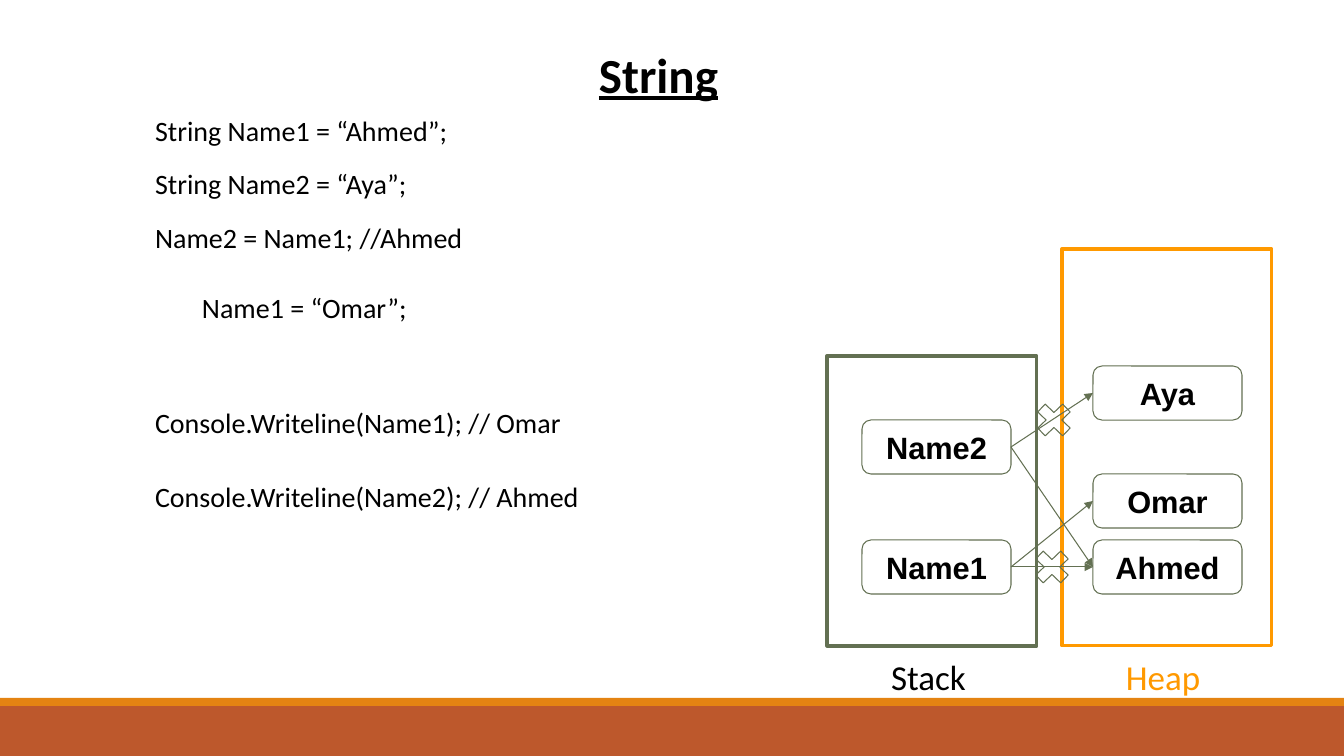
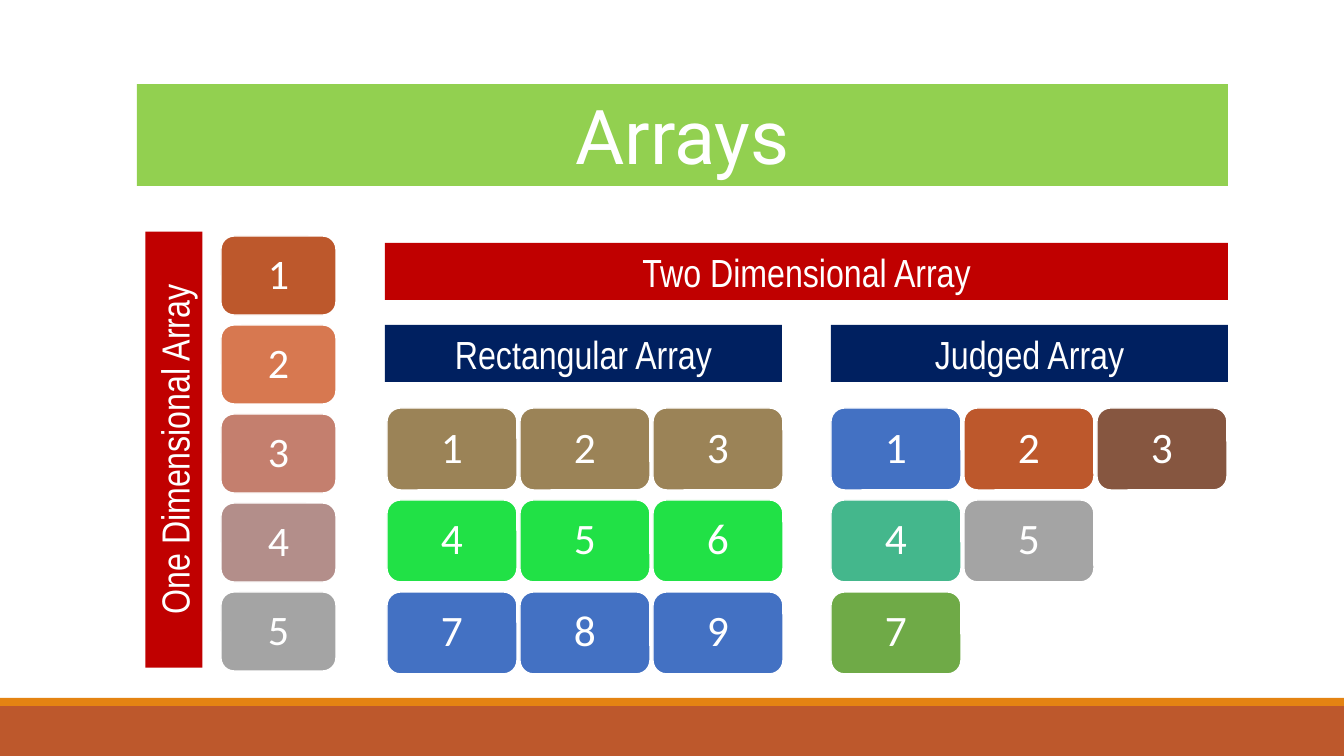
from lxml import etree
from pptx import Presentation
from pptx.dml.color import RGBColor
from pptx.enum.shapes import MSO_CONNECTOR, MSO_SHAPE
from pptx.enum.text import MSO_ANCHOR, MSO_AUTO_SIZE, PP_ALIGN
from pptx.oxml.ns import qn
from pptx.util import Emu, Pt

PX = 12192000 / 1344  # EMU per px

RECTANGLE, ROUNDED = MSO_SHAPE.RECTANGLE, MSO_SHAPE.ROUNDED_RECTANGLE
CROSS, STRAIGHT = MSO_SHAPE.MATH_MULTIPLY, MSO_CONNECTOR.STRAIGHT
TOP, MIDDLE = MSO_ANCHOR.TOP, MSO_ANCHOR.MIDDLE
LEFT, CENTER = PP_ALIGN.LEFT, PP_ALIGN.CENTER
LEFT_SIDE, RIGHT_SIDE = 1, 3

BLACK = RGBColor(0x00, 0x00, 0x00)
WHITE = RGBColor(0xFF, 0xFF, 0xFF)
RUST = RGBColor(0xBD, 0x58, 0x2C)
ORANGE = RGBColor(0xE4, 0x83, 0x12)
OLIVE = RGBColor(0x63, 0x70, 0x52)
AMBER = RGBColor(0xFF, 0x99, 0x00)
LIME = RGBColor(0x92, 0xD0, 0x50)
RED = RGBColor(0xC0, 0x00, 0x00)
NAVY = RGBColor(0x00, 0x20, 0x60)
COPPER = RGBColor(0xD7, 0x78, 0x50)
ROSE = RGBColor(0xC4, 0x7F, 0x6E)
MAUVE = RGBColor(0xB3, 0x8E, 0x8A)
GRAY = RGBColor(0xA4, 0xA4, 0xA4)
KHAKI = RGBColor(0x9B, 0x83, 0x57)
BRIGHT_GREEN = RGBColor(0x21, 0xE1, 0x46)
BLUE = RGBColor(0x43, 0x71, 0xC3)
TEAL = RGBColor(0x44, 0xB7, 0x8C)
GREEN = RGBColor(0x6F, 0xAA, 0x47)
BROWN = RGBColor(0x86, 0x56, 0x40)


def set_text(shape, text, size=20, font="Calibri", color=BLACK, bold=False,
             underline=False, align=LEFT, anchor=TOP, inset=(10, 10), spacing=1.0):
    frame = shape.text_frame
    frame.text = text
    frame.word_wrap = True
    frame.auto_size = MSO_AUTO_SIZE.NONE
    frame.vertical_anchor = anchor
    frame.margin_left = frame.margin_right = Emu(round(inset[0] * PX))
    frame.margin_top = frame.margin_bottom = Emu(round(inset[1] * PX))
    for paragraph in frame.paragraphs:
        paragraph.alignment = align
        paragraph.line_spacing = spacing
        paragraph.space_before = Pt(0)
        run_font = paragraph.runs[0].font
        run_font.name, run_font.size = font, Pt(size)
        run_font.bold, run_font.underline = bold, underline
        run_font.color.rgb = color


def place(slide, kind, box, fill=None, line=None, width=0.75):
    """Add a preset shape, or move the placeholder given as kind."""
    lengths = [Emu(round(length * PX)) for length in box]
    if kind in (RECTANGLE, ROUNDED, CROSS):
        shape = slide.shapes.add_shape(kind, *lengths)
        shape.shadow.inherit = False
    else:
        shape = kind
        shape.left, shape.top, shape.width, shape.height = lengths
    if fill is None:
        shape.fill.background()
    else:
        shape.fill.solid()
        shape.fill.fore_color.rgb = fill
    if line is None:
        shape.line.fill.background()
    else:
        shape.line.color.rgb = line
        shape.line.width = Pt(width)
    return shape


presentation = Presentation()
presentation.slide_width = Emu(round(1344 * PX))
presentation.slide_height = Emu(round(756 * PX))
string_slide = presentation.slides.add_slide(presentation.slide_layouts[1])
arrays_slide = presentation.slides.add_slide(presentation.slide_layouts[5])

# Bands shared by all slides, moved to the back of the master
master_tree = presentation.slide_master.shapes.element
bands = [((0, 706, 1344, 50), RUST), ((0, 698, 1344, 8), ORANGE)]
for index, (box, color) in enumerate(bands):
    band = place(string_slide, RECTANGLE, box, fill=color)
    band.element.nvSpPr.cNvPr.set("id", str(100 + index))
    master_tree.insert(2 + index, band.element)

# Slide 1: title and code
title = place(string_slide, string_slide.shapes.title, (589, 34, 166, 80))
set_text(title, "String", size=35, bold=True, underline=True)

# Each statement: text, gap above in px, indent in px
statements = [
    ("String Name1 = “Ahmed”;", 0, 0),
    ("String Name2 = “Aya”;", 20, 0),
    ("Name2 = Name1; //Ahmed", 20, 0),
    ("Name1 = “Omar”;", 37, 47),
    ("Console.Writeline(Name1); // Omar", 81, 0),
    ("Console.Writeline(Name2); // Ahmed", 40, 0),
]
code = place(string_slide, string_slide.placeholders[1], (145, 103, 541, 423))
set_text(code, "\n".join(text for text, gap, indent in statements))
for paragraph, (text, gap, indent) in zip(code.text_frame.paragraphs, statements):
    paragraph.space_before = Emu(round(gap * PX))
    properties = paragraph._p.get_or_add_pPr()
    properties.set("marL", str(round(indent * PX)))
    properties.set("indent", "0")
    etree.SubElement(properties, qn("a:buNone"))

# Slide 1: memory areas with their labels
areas = [
    ("Stack", 827, 356, OLIVE, BLACK),
    ("Heap", 1062, 249, AMBER, AMBER),
]
AREA_BOTTOM = 646
for name, left, top, line, color in areas:
    place(string_slide, RECTANGLE, (left, top, 210, AREA_BOTTOM - top), line=line, width=2.25)
    label = place(string_slide, RECTANGLE, (left + 54, AREA_BOTTOM, 101, 62))
    set_text(label, name, size=25, color=color)

# Slide 1: variables and values
STACK_LEFT, HEAP_LEFT = 862, 1093
nodes = {}
for name, left, top in [("Name1", STACK_LEFT, 540), ("Name2", STACK_LEFT, 420),
                        ("Ahmed", HEAP_LEFT, 540), ("Omar", HEAP_LEFT, 474),
                        ("Aya", HEAP_LEFT, 366)]:
    nodes[name] = place(string_slide, ROUNDED, (left, top, 149, 54), line=OLIVE)
    set_text(nodes[name], name, size=22, font="Arial", bold=True, align=CENTER, anchor=MIDDLE)

# Slide 1: references, the dropped ones crossed out
for variable, value in [("Name1", "Ahmed"), ("Name2", "Aya"),
                        ("Name2", "Ahmed"), ("Name1", "Omar")]:
    arrow = string_slide.shapes.add_connector(STRAIGHT, 0, 0, 0, 0)
    arrow.begin_connect(nodes[variable], RIGHT_SIDE)
    arrow.end_connect(nodes[value], LEFT_SIDE)
    arrow.line.color.rgb = OLIVE
    arrow.line.width = Pt(0.75)
    etree.SubElement(arrow.line._get_or_add_ln(), qn("a:tailEnd"), type="triangle")
    etree.SubElement(arrow.element.spPr, qn("a:effectLst"))
for left, top in [(1030, 397), (1028, 544)]:
    place(string_slide, CROSS, (left, top, 48, 46), line=OLIVE)

# Slide 2: title and headings
title = place(arrays_slide, arrays_slide.shapes.title, (137, 84, 1091, 102), fill=LIME)
set_text(title, "Arrays", size=54, font="Roboto", color=WHITE, align=CENTER, inset=(10, 5))

headings = [
    ("Rectangular Array", (385, 325, 397, 57), NAVY, 0),
    ("Judged Array", (831, 325, 397, 57), NAVY, 0),
    ("One Dimensional Array", (-44, 421, 436, 57), RED, 270),
    ("Two Dimensional Array", (385, 243, 843, 57), RED, 0),
]
for text, box, color, rotation in headings:
    heading = place(arrays_slide, RECTANGLE, box, fill=color)
    heading.rotation = rotation
    set_text(heading, text, size=28, font="Arial Narrow", color=WHITE,
             align=CENTER, inset=(10, 5))

# Slide 2: arrays as rows of (number, colour)
column = [[(1, RUST)], [(2, COPPER)], [(3, ROSE)], [(4, MAUVE)], [(5, GRAY)]]
rectangular = [[(3 * row + step, color) for step in (1, 2, 3)]
               for row, color in enumerate([KHAKI, BRIGHT_GREEN, BLUE])]
jagged = [[(1, BLUE), (2, RUST), (3, BROWN)], [(4, TEAL), (5, GRAY)], [(7, GREEN)]]

# Each array: rows, left, top, cell width, cell height, row pitch, text size
arrays = [
    (column, 221, 236, 115, 79, 89, 30),
    (rectangular, 387, 408, 130, 82, 92, 31),
    (jagged, 831, 408, 130, 82, 92, 31),
]
COLUMN_PITCH = 133
for rows, left, top, width, height, row_pitch, size in arrays:
    for row_index, row in enumerate(rows):
        for column_index, (number, color) in enumerate(row):
            box = (left + column_index * COLUMN_PITCH, top + row_index * row_pitch, width, height)
            cell = place(arrays_slide, ROUNDED, box, fill=color, line=WHITE, width=1)
            set_text(cell, str(number), size=size, color=WHITE, align=CENTER,
                     anchor=MIDDLE, inset=(12, 12), spacing=0.9)

presentation.save("out.pptx")
